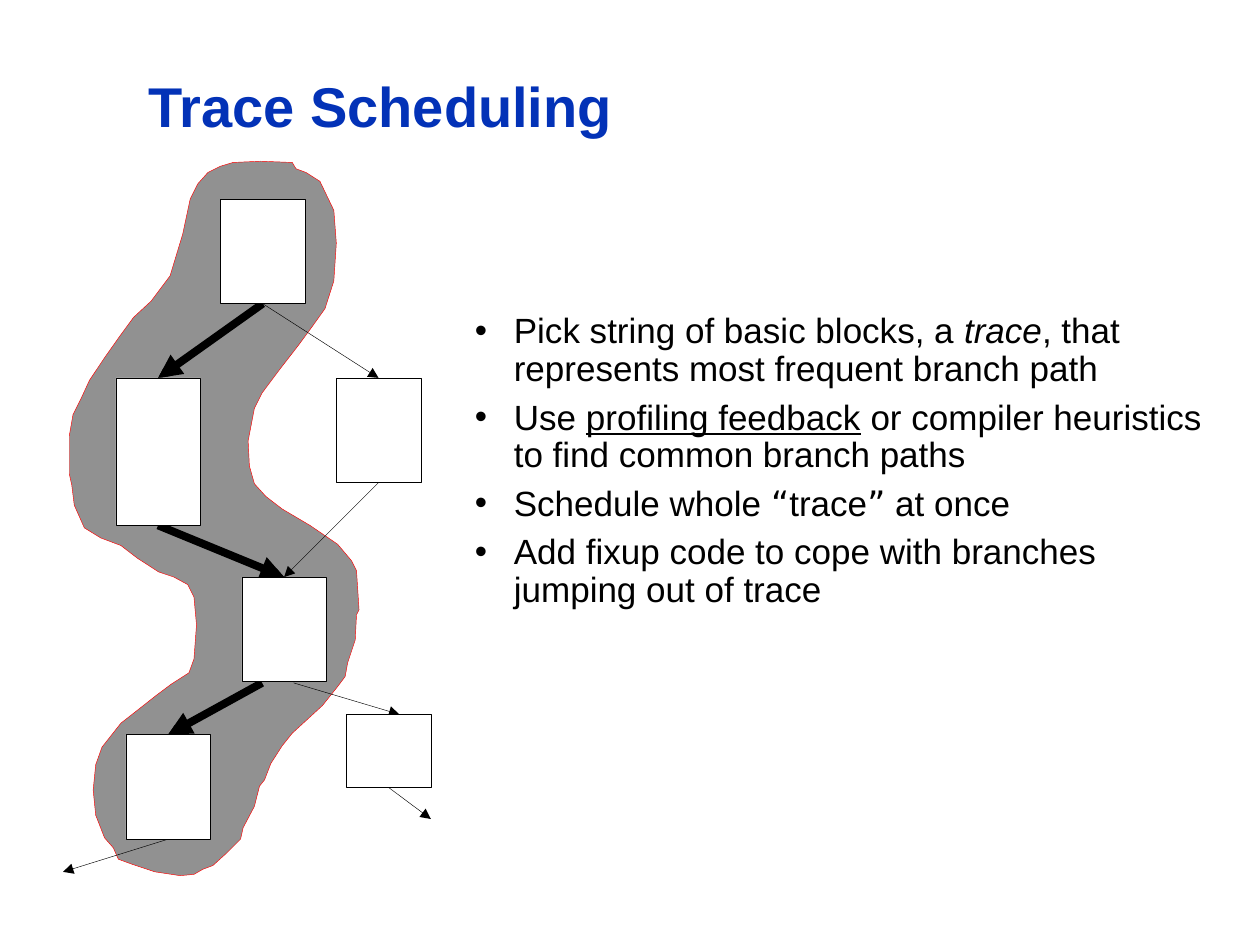
"""Build the Trace Scheduling slide with its control-flow graph and bullet list."""
from lxml import etree
from pptx import Presentation
from pptx.dml.color import RGBColor
from pptx.enum.shapes import MSO_CONNECTOR, MSO_SHAPE
from pptx.enum.text import MSO_ANCHOR, MSO_AUTO_SIZE, PP_ALIGN
from pptx.oxml.ns import qn
from pptx.util import Inches, Pt

STRAIGHT = MSO_CONNECTOR.STRAIGHT
RECTANGLE = MSO_SHAPE.RECTANGLE
MIDDLE = MSO_ANCHOR.MIDDLE
LEFT = PP_ALIGN.LEFT
NO_FIT, GROW = MSO_AUTO_SIZE.NONE, MSO_AUTO_SIZE.SHAPE_TO_FIT_TEXT

BLACK = RGBColor(0x00, 0x00, 0x00)
WHITE = RGBColor(0xFF, 0xFF, 0xFF)
BLUE = RGBColor(0x03, 0x32, 0xB7)
GRAY = RGBColor(0x91, 0x91, 0x91)
RED = RGBColor(0xFF, 0x00, 0x00)
THIN, HEAVY = Pt(0.25), Pt(4.5)
TOP, BOTTOM = 0, 2

TITLE_FONT = {"name": "Arial", "size": Pt(32), "bold": True}
BODY_FONT = {"name": "Arial", "size": Pt(20)}
QUOTE_FONT = {"name": "DejaVu Sans"}

prs = Presentation()
prs.slide_width, prs.slide_height = Inches(10), Inches(7.5)
slide = prs.slides.add_slide(prs.slide_layouts[6])
shapes = slide.shapes


def add_text(box, paragraphs, base_font, color, fit):
    left, top, width, height = map(Inches, box)
    frame = shapes.add_textbox(left, top, width, height).text_frame
    frame_format = {"word_wrap": True, "vertical_anchor": MIDDLE, "auto_size": fit}
    for key, value in frame_format.items():
        setattr(frame, key, value)
    for index, runs in enumerate(paragraphs):
        paragraph = frame.add_paragraph() if index else frame.paragraphs[0]
        paragraph.alignment = LEFT
        paragraph.line_spacing = 0.9
        for text, extra in runs:
            run = paragraph.add_run()
            run.text = text
            run.font.color.rgb = color
            for key, value in {**base_font, **extra}.items():
                setattr(run.font, key, value)
    return frame


def add_arrow(start, end, weight):
    arrow = shapes.add_connector(STRAIGHT, *map(Inches, start + end))
    arrow.line.color.rgb = BLACK
    arrow.line.width = weight
    properties = arrow.element.spPr
    etree.SubElement(properties.find(qn("a:ln")), qn("a:tailEnd"), type="triangle")
    etree.SubElement(properties, qn("a:effectLst"))
    return arrow


trace_outline = [
    (2.83, 4.88), (2.82, 5.08), (2.76, 5.26), (2.74, 5.37), (2.68, 5.45),
    (2.56, 5.6), (2.44, 5.71), (2.32, 5.82), (2.24, 5.92), (2.15, 6.06),
    (2.1, 6.19), (2.06, 6.24), (2.02, 6.4), (1.93, 6.57), (1.91, 6.66),
    (1.8, 6.77), (1.69, 6.87), (1.61, 6.9), (1.54, 6.94), (1.43, 6.95),
    (1.23, 6.92), (1.05, 6.86), (0.94, 6.82), (0.9, 6.73), (0.83, 6.65),
    (0.76, 6.47), (0.74, 6.27), (0.76, 6.07), (0.81, 5.93), (0.96, 5.74),
    (1.1, 5.63), (1.24, 5.52), (1.36, 5.43), (1.5, 5.34), (1.54, 5.23),
    (1.56, 4.96), (1.54, 4.74), (1.49, 4.64), (1.38, 4.58), (1.26, 4.54),
    (1.09, 4.43), (0.96, 4.33), (0.8, 4.27), (0.67, 4.19), (0.59, 4.01),
    (0.57, 3.85), (0.55, 3.76), (0.55, 3.46), (0.58, 3.29), (0.65, 3.15),
    (0.71, 3.02), (0.83, 2.84), (0.95, 2.67), (1.06, 2.52), (1.2, 2.39),
    (1.35, 2.19), (1.45, 1.86), (1.51, 1.58), (1.57, 1.46), (1.65, 1.37),
    (1.75, 1.32), (1.85, 1.29), (2.07, 1.28), (2.32, 1.29), (2.35, 1.34),
    (2.43, 1.37), (2.54, 1.44), (2.65, 1.67), (2.67, 1.93), (2.65, 2.23),
    (2.58, 2.45), (2.48, 2.59), (2.37, 2.74), (2.23, 2.92), (2.17, 3),
    (2.08, 3.12), (2.02, 3.24), (1.97, 3.5), (1.98, 3.7), (2.02, 3.84),
    (2.11, 3.94), (2.24, 4.04), (2.46, 4.17), (2.68, 4.32), (2.79, 4.45),
    (2.83, 4.53), (2.85, 4.84),
]
outline_points = [(Inches(x), Inches(y)) for x, y in trace_outline]
builder = shapes.build_freeform(*outline_points[0])
builder.add_line_segments(outline_points[1:], close=True)
trace_region = builder.convert_to_shape()

add_text((1.08, 0.33, 7.83, 1.08), [[("Trace Scheduling", {})]], TITLE_FONT, BLUE, NO_FIT)

points = [
    [("Pick string of basic blocks, a ", {}), ("trace", {"italic": True}),
     (", that represents most frequent branch path", {})],
    [("Use ", {}), ("profiling feedback", {"underline": True}),
     (" or compiler heuristics to find common branch paths", {})],
    [("Schedule whole ", {}), ("“", QUOTE_FONT), ("trace", {}), ("”", QUOTE_FONT),
     (" at once", {})],
    [("Add fixup code to cope with branches jumping out of trace", {})],
]
body = add_text((3.67, 2.41, 6, 2.51), points, BODY_FONT, BLACK, GROW)
for paragraph in body.paragraphs:
    paragraph.space_before = Pt(6)
    properties = paragraph._p.get_or_add_pPr()
    properties.set("marL", str(Inches(0.31)))
    properties.set("indent", str(-Inches(0.31)))
    etree.SubElement(properties, qn("a:buFont"), typeface="Arial")
    etree.SubElement(properties, qn("a:buChar"), char="•")

block_boxes = {
    "left": (0.92, 3, 0.67, 1.17),
    "right": (2.67, 3, 0.67, 0.83),
    "entry": (1.75, 1.58, 0.67, 0.83),
    "join": (1.92, 4.58, 0.67, 0.83),
    "last": (1, 5.83, 0.67, 0.83),
    "side": (2.75, 5.67, 0.67, 0.58),
}
blocks = {
    name: shapes.add_shape(RECTANGLE, *map(Inches, box))
    for name, box in block_boxes.items()
}
for shape, fill, outline in [(trace_region, GRAY, RED)] + [
    (block, WHITE, BLACK) for block in blocks.values()
]:
    shape.shadow.inherit = False
    shape.fill.solid()
    shape.fill.fore_color.rgb = fill
    shape.line.color.rgb = outline
    shape.line.width = THIN

trace_edges = [
    ((2.08, 2.42), (1.25, 3), "entry", "left"),
    ((1.25, 4.17), (2.25, 4.58), "left", "join"),
    ((2.08, 5.42), (1.33, 5.83), None, "last"),
]
side_edges = [
    ((2.08, 2.42), (3, 3), "entry", "right"),
    ((3, 3.83), (2.25, 4.58), "right", "join"),
    ((2.33, 5.42), (3.17, 5.67), None, None),
    ((3.08, 6.25), (3.42, 6.5), "side", None),
    ((1.33, 6.67), (0.5, 6.92), "last", None),
]
for weight, edges in [(HEAVY, trace_edges), (THIN, trace_edges + side_edges)]:
    for start, end, source, target in edges:
        arrow = add_arrow(start, end, weight)
        if source:
            arrow.begin_connect(blocks[source], BOTTOM)
        if target:
            arrow.end_connect(blocks[target], TOP)

for block in blocks.values():
    shapes.element.append(block.element)

prs.save("out.pptx")
